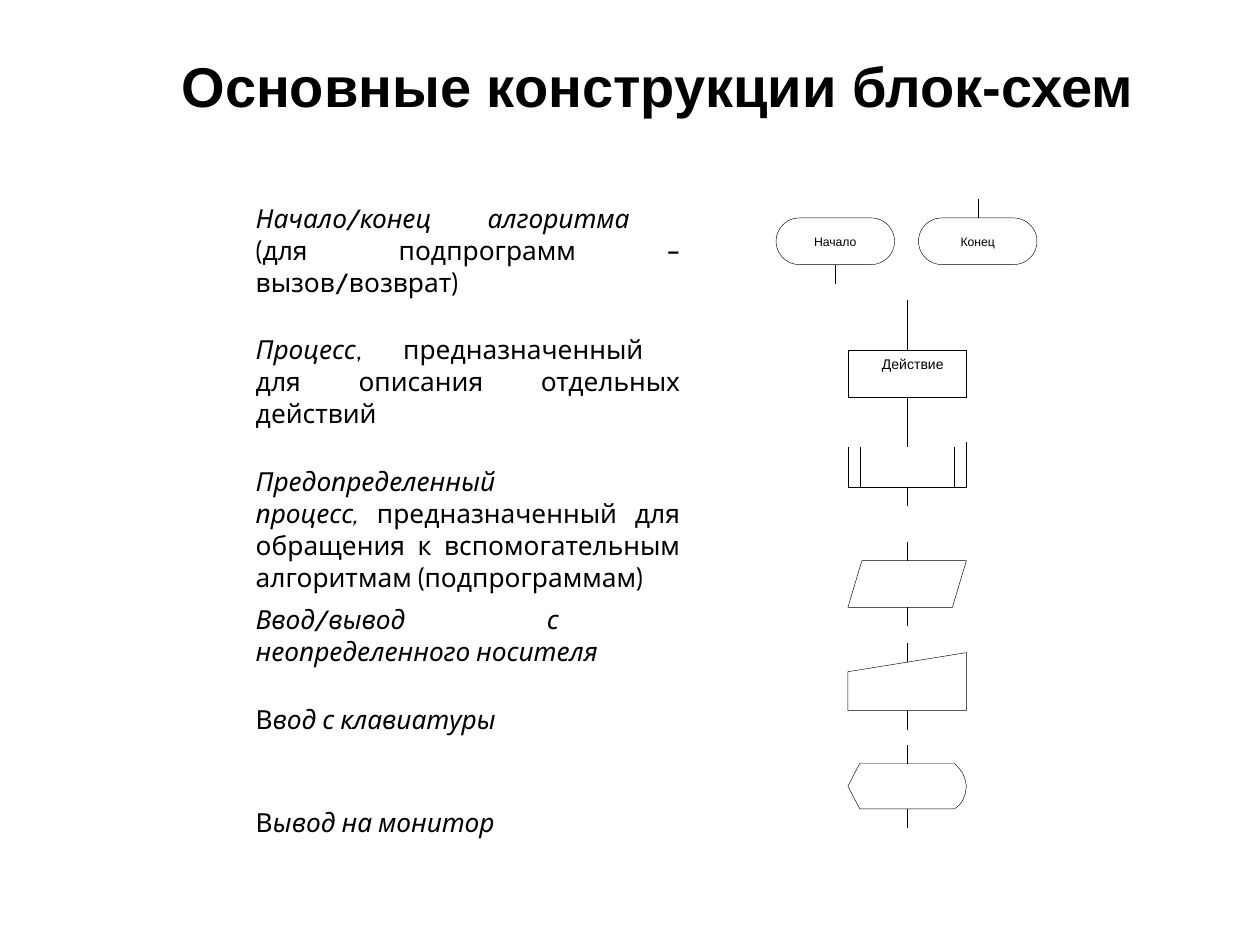
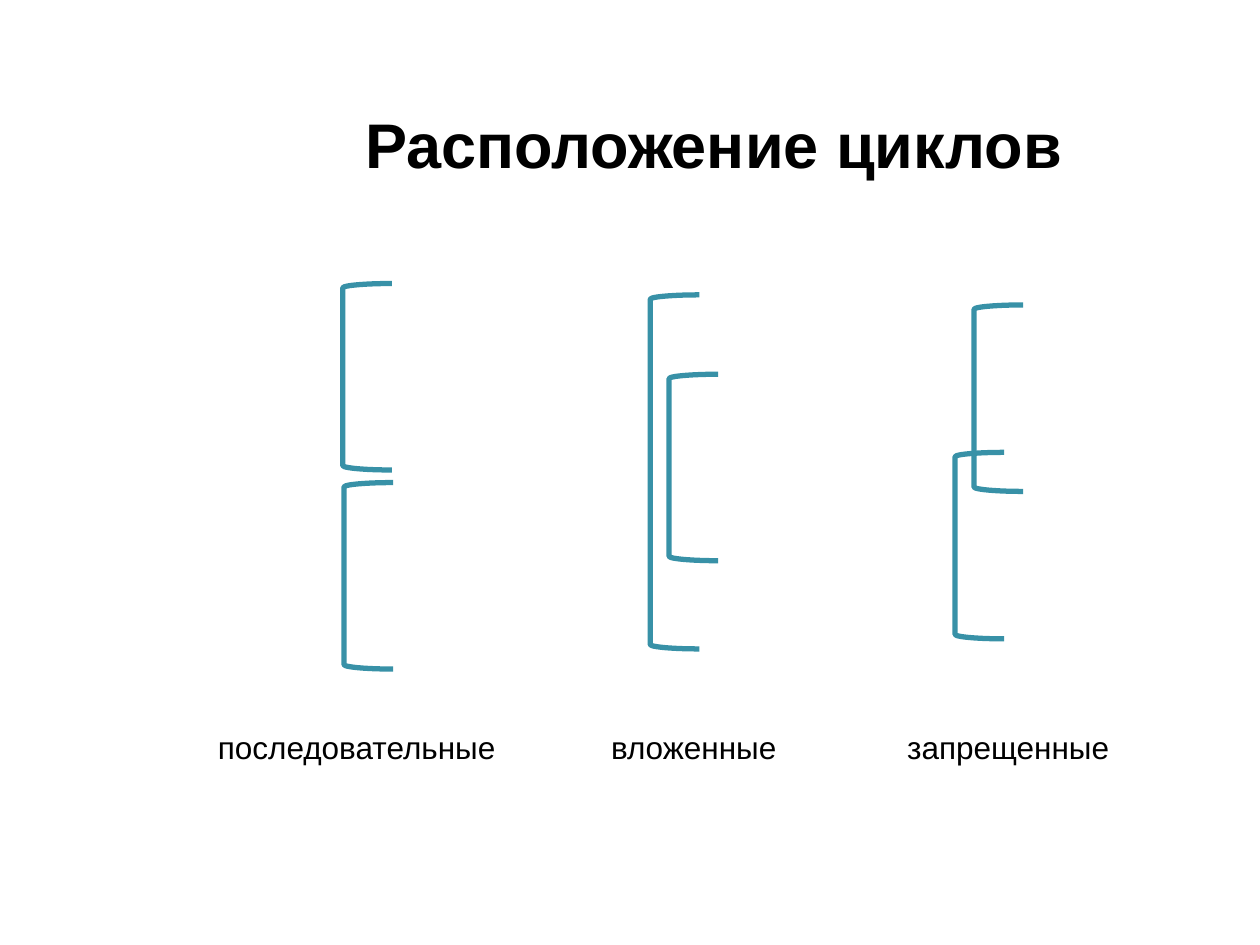
from copy import deepcopy

from lxml import etree
from pptx import Presentation
from pptx.dml.color import RGBColor
from pptx.enum.shapes import MSO_CONNECTOR, MSO_SHAPE as SHAPE
from pptx.enum.text import MSO_ANCHOR as ANCHOR, PP_ALIGN as ALIGN
from pptx.oxml.ns import qn
from pptx.util import Inches, Pt

BLACK, WHITE, TEAL = "000000", "FFFFFF", "3891A7"
HEAD, BODY = "Arial", "Cabin"
THIN, THICK = 0.25, 3
BREAK = None

TITLES = [
    ("Основные конструкции блок-схем", (0.27, 0.51, 9.01, 0.96), 32, ALIGN.LEFT, 0.8),
    ("Расположение циклов", (0.58, 0.84, 9, 0.6), 36, ALIGN.CENTER, 1),
]
TITLE_INDENT = 1.17

# gap before (pt), tab stop (in), pieces of (text, italic)
DESCRIPTIONS = [
    (0, 1.84, [("Начало/конец\tалгоритма", True), BREAK,
               ("(для подпрограмм – вызов/возврат)", False)]),
    (20, 1.17, [("Процесс", True), (",\tпредназначенный", False), BREAK,
                ("для описания отдельных действий", False)]),
    (20, 0, [("Предопределенный", True), BREAK, ("процесс, ", True),
             ("предназначенный для обращения к вспомогательным", False), BREAK,
             ("алгоритмам (подпрограммам)", False)]),
    (6, 2.31, [("Ввод/вывод\tс", True), BREAK, ("неопределенного носителя", True)]),
    (20, 0, [("В", False), ("вод с клавиатуры", True)]),
    (41, 0, [("В", False), ("ывод на монитор", True)]),
]

SYMBOL_W, SYMBOL_H, STEM = 0.94, 0.37, 0.15
SYMBOL_X, SYMBOL_MID = 6.73, 7.2
TERMINATORS = [("Начало", 6.16, 2), ("Конец", 7.29, 0)]
TERMINATOR_Y = 1.73
CALL_Y, CALL_H, CALL_BARS = 3.51, 0.36, (0.1, 0.9)
DATA_Y = 4.45
KEYBOARD = (5.18, 0.46, [(0, 1), (1, 1), (1, 0), (0, 0.33)])
DISPLAY = (6.06, 0.36, [(0.1, 1), (0, 0.5), (0.1, 0), (0.9, 0), (0.94, 0.11), (0.97, 0.22),
                        (0.99, 0.36), (1, 0.5), (0.99, 0.67), (0.97, 0.81),
                        (0.94, 0.92), (0.9, 1)])
PROCESS_TEXT, PROCESS_Y, PROCESS_ROWS = "Действие", 2.38, (0.4, 0.37, 0.4)

BRACKET_W, BRACKET_H = 0.39, 1.48
LABEL_Y = 5.78
LOOPS = [
    ("последовательные", 1.73, 2.44, [(2.72, 2.25, BRACKET_H), (2.73, 3.83, BRACKET_H)]),
    ("вложенные", 4.85, 1.34, [(5.31, 2.97, BRACKET_H), (5.16, 2.34, 2.81)]),
    ("запрещенные", 7.2, 1.63, [(7.58, 3.59, BRACKET_H), (7.73, 2.42, BRACKET_H)]),
]


def color(value):
    return RGBColor.from_string(value)


def style(r, size, font=HEAD, bold=False, italic=False):
    r.font.size, r.font.name = Pt(size), font
    r.font.bold, r.font.italic = bold, italic
    r.font.color.rgb = color(BLACK)


def zero_margins(tf):
    tf.margin_left = tf.margin_top = tf.margin_right = tf.margin_bottom = 0


def text_box(s, box):
    tf = s.shapes.add_textbox(*map(Inches, box)).text_frame
    zero_margins(tf)
    tf.word_wrap = True
    return tf


def add_text(s, text, box, size, bold=False):
    tf = text_box(s, box)
    tf.text = text
    style(tf.paragraphs[0].runs[0], size, bold=bold)
    return tf


def add_title(s, text, box, size, align, spacing):
    tf = add_text(s, text, box, size, bold=True)
    tf.margin_left = Inches(TITLE_INDENT)
    tf.paragraphs[0].alignment = align
    tf.paragraphs[0].line_spacing = spacing


def paint(sp, line=BLACK, width=THIN, fill=WHITE):
    sp.shadow.inherit = False
    if fill:
        sp.fill.solid()
        sp.fill.fore_color.rgb = color(fill)
    else:
        sp.fill.background()
    sp.line.color.rgb = color(line)
    sp.line.width = Pt(width)
    return sp


def add_symbol(s, kind, x, y, h=SYMBOL_H):
    return paint(s.shapes.add_shape(kind, *map(Inches, (x, y, SYMBOL_W, h))))


def add_outline(s, y, h, points):
    spots = [(Inches(SYMBOL_X + u * SYMBOL_W), Inches(y + v * h)) for u, v in points]
    builder = s.shapes.build_freeform(*spots[0])
    builder.add_line_segments(spots[1:], close=True)
    return paint(builder.convert_to_shape())


def add_line(s, x, y1, y2, sp=None, side=0):
    cn = s.shapes.add_connector(MSO_CONNECTOR.STRAIGHT, *map(Inches, (x, y1, x, y2)))
    if sp is not None:
        cn.begin_connect(sp, side)
    cn.line.color.rgb = color(BLACK)
    cn.line.width = Pt(THIN)
    etree.SubElement(cn._element.spPr, qn("a:effectLst"))


def add_stems(s, top, bottom, sp=None):
    add_line(s, SYMBOL_MID, top, top - STEM, sp, 0)
    add_line(s, SYMBOL_MID, bottom, bottom + STEM, sp, 2)


def add_descriptions(s):
    tf = text_box(s, (2.03, 1.6, 3.37, 5.06))
    for i, (gap, tab, pieces) in enumerate(DESCRIPTIONS):
        p = tf.add_paragraph() if i else tf.paragraphs[0]
        p.alignment, p.line_spacing = ALIGN.JUSTIFY, 1.02
        p.space_before = Pt(gap)
        if tab:
            tabs = etree.SubElement(p._p.get_or_add_pPr(), qn("a:tabLst"))
            etree.SubElement(tabs, qn("a:tab"), pos=str(Inches(tab)), algn="l")
        for piece in pieces:
            if piece is BREAK:
                p.add_line_break()
            else:
                r = p.add_run()
                r.text = piece[0]
                style(r, 15, BODY, italic=piece[1])
        for br in p._p.findall(qn("a:br")):
            br.append(deepcopy(p.runs[0]._r.rPr))


def add_border(cell, sides):
    tc_pr = cell._tc.get_or_add_tcPr()
    fill = tc_pr.find(qn("a:solidFill"))
    for side in "LRTB":
        ln = etree.Element(qn("a:ln" + side), w=str(Pt(THIN)))
        if side in sides:
            paint_el = etree.SubElement(ln, qn("a:solidFill"))
            etree.SubElement(paint_el, qn("a:srgbClr"), val=BLACK)
        else:
            etree.SubElement(ln, qn("a:noFill"))
        fill.addprevious(ln)


def add_process(s):
    box = (SYMBOL_X, PROCESS_Y, SYMBOL_W, sum(PROCESS_ROWS))
    table = s.shapes.add_table(3, 2, *map(Inches, box)).table
    table.first_row = table.horz_banding = False
    sides = [("B", "LB"), ("LRTB", "LRTB"), ("TR", "TL")]
    sides[0] = ("RB", "LB")
    for i, height in enumerate(PROCESS_ROWS):
        table.rows[i].height = Inches(height)
        for j in range(2):
            cell = table.cell(i, j)
            cell.fill.solid()
            cell.fill.fore_color.rgb = color(WHITE)
            add_border(cell, sides[i][j])
    cell = table.cell(1, 0)
    cell.merge(table.cell(1, 1))
    cell.margin_left, cell.margin_right = Inches(0.27), 0
    cell.text = PROCESS_TEXT
    style(cell.text_frame.paragraphs[0].runs[0], 8)


def flowchart_slide(s):
    for text, x, side in TERMINATORS:
        sp = add_symbol(s, SHAPE.ROUNDED_RECTANGLE, x, TERMINATOR_Y)
        sp.adjustments[0] = 0.5
        tf = sp.text_frame
        zero_margins(tf)
        tf.text = text
        tf.vertical_anchor = ANCHOR.MIDDLE
        tf.paragraphs[0].alignment = ALIGN.CENTER
        style(tf.paragraphs[0].runs[0], 7)
        y = TERMINATOR_Y + SYMBOL_H if side else TERMINATOR_Y
        add_line(s, x + SYMBOL_W / 2, y, y + STEM if side else y - STEM, sp, side)

    call = add_symbol(s, SHAPE.RECTANGLE, SYMBOL_X, CALL_Y, CALL_H)
    for share in CALL_BARS:
        add_line(s, SYMBOL_X + share * SYMBOL_W, CALL_Y, CALL_Y + CALL_H)
    add_stems(s, CALL_Y, CALL_Y + CALL_H, call)

    data = add_symbol(s, SHAPE.PARALLELOGRAM, SYMBOL_X, DATA_Y)
    data.adjustments[0] = 0.3
    add_stems(s, DATA_Y, DATA_Y + SYMBOL_H)

    for (y, h, points), slope in ((KEYBOARD, 0.07), (DISPLAY, 0)):
        add_outline(s, y, h, points)
        add_stems(s, y + slope, y + h)

    add_descriptions(s)
    add_process(s)


def loops_slide(s):
    for label, x, w, brackets in LOOPS:
        for left, top, h in brackets:
            box = map(Inches, (left, top, BRACKET_W, h))
            sp = paint(s.shapes.add_shape(SHAPE.LEFT_BRACKET, *box), TEAL, THICK, None)
            sp.adjustments[0] = 0.09
        add_text(s, label, (x, LABEL_Y, w, 0.3), 18).word_wrap = False


def main():
    prs = Presentation()
    prs.slide_width, prs.slide_height = Inches(10), Inches(7.5)
    for title, build in zip(TITLES, (flowchart_slide, loops_slide)):
        s = prs.slides.add_slide(prs.slide_layouts[6])
        add_title(s, *title)
        build(s)
    prs.save("out.pptx")


if __name__ == "__main__":
    main()
